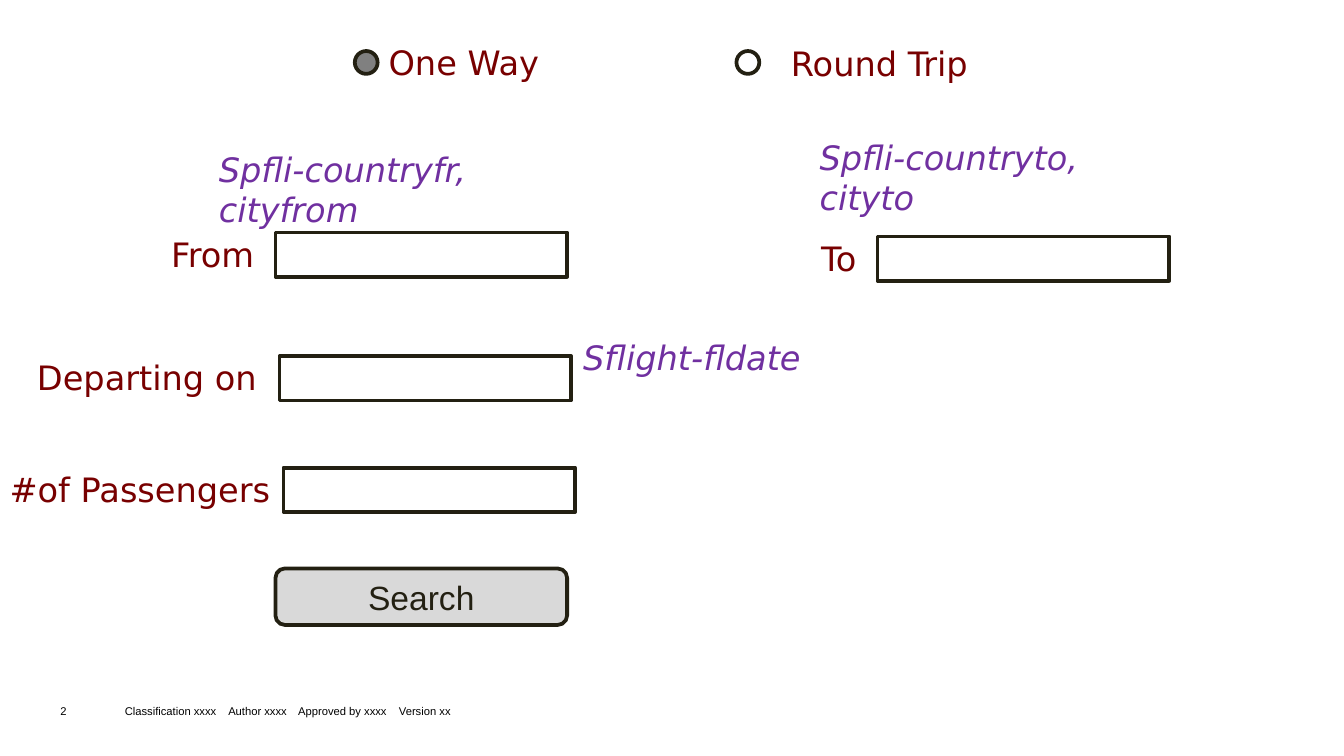
from lxml import etree
from pptx import Presentation
from pptx.dml.color import RGBColor
from pptx.enum.shapes import MSO_SHAPE
from pptx.enum.text import MSO_ANCHOR, PP_ALIGN
from pptx.oxml.ns import qn
from pptx.util import Inches, Pt

RECTANGLE, ROUNDED, OVAL = MSO_SHAPE.RECTANGLE, MSO_SHAPE.ROUNDED_RECTANGLE, MSO_SHAPE.OVAL
LEFT, CENTER, RIGHT = PP_ALIGN.LEFT, PP_ALIGN.CENTER, PP_ALIGN.RIGHT
TOP, MIDDLE = MSO_ANCHOR.TOP, MSO_ANCHOR.MIDDLE

COLORS = {
    "outline": "232012",
    "label": "780000",
    "field_name": "7030A0",
    "selected": "808080",
    "button": "D9D9D9",
    "footer": "000000",
}
SLIDE_WIDTH = 10
FIELD_WIDTH, FIELD_HEIGHT = 2.17, 0.33
RADIO_SIZE = 0.17
LABEL_HEIGHT = 0.4

presentation = Presentation()
presentation.slide_width = Inches(SLIDE_WIDTH)
presentation.slide_height = Inches(SLIDE_WIDTH * 9 / 16)
slide = presentation.slides.add_slide(presentation.slide_layouts[6])


def add_control(kind, left, top, width, height, fill=None):
    """Add an outlined form element, unfilled unless a fill colour is named."""
    shape = slide.shapes.add_shape(
        kind, Inches(left), Inches(top), Inches(width), Inches(height))
    shape.shadow.inherit = False
    shape.line.color.rgb = RGBColor.from_string(COLORS["outline"])
    shape.line.width = Pt(2)
    if fill:
        shape.fill.solid()
        shape.fill.fore_color.rgb = RGBColor.from_string(COLORS[fill])
    else:
        shape.fill.background()
    return shape


def write_text(shape, text, color, align=LEFT, font="DejaVu Sans", size=18,
               italic=False, anchor=TOP):
    frame = shape.text_frame
    frame.word_wrap = True
    frame.vertical_anchor = anchor
    frame.text = text
    paragraph = frame.paragraphs[0]
    paragraph.alignment = align
    run_font = paragraph.runs[0].font
    run_font.name = font
    run_font.size = Pt(size)
    run_font.italic = italic
    run_font.color.rgb = RGBColor.from_string(COLORS[color])
    return paragraph


# Footer, with its parts set on tab stops
footer_parts = ["Classification xxxx", "Author xxxx", "Approved by xxxx", "Version xx"]
footers = [
    (0.83, 4.41, "\t".join(footer_parts), [0.77, 1.29, 2.04]),
    (0.35, 0.55, "2", []),
]
for left, width, text, stops in footers:
    box = slide.shapes.add_textbox(Inches(left), Inches(5.14), Inches(width), Inches(0.3))
    paragraph = write_text(box, text, "footer", font="Arial", size=6, anchor=MIDDLE)
    if stops:
        tab_list = etree.SubElement(paragraph._p.get_or_add_pPr(), qn("a:tabLst"))
        for stop in stops:
            etree.SubElement(tab_list, qn("a:tab"), pos=str(Inches(stop)), algn="l")

# Input fields
for left, top in [(2.05, 1.73), (6.53, 1.76), (2.08, 2.65), (2.11, 3.48)]:
    add_control(RECTANGLE, left, top, FIELD_WIDTH, FIELD_HEIGHT)

# Radio buttons
for left, fill in [(2.64, "selected"), (5.48, None)]:
    add_control(OVAL, left, 0.38, RADIO_SIZE, RADIO_SIZE, fill)

# Labels end at the right edge of their boxes
labels = [
    ("From", 1.08, 1.69, 0.91),
    ("To", 4.97, 1.72, 1.5),
    ("Departing on", 0.17, 2.61, 1.84),
    ("#of Passengers", -0.14, 3.44, 2.25),
    ("One Way", 2.73, 0.26, 1.38),
    ("Round Trip", 5.72, 0.27, 1.58),
]
for text, left, top, width in labels:
    box = slide.shapes.add_textbox(
        Inches(left), Inches(top), Inches(width), Inches(LABEL_HEIGHT))
    write_text(box, text, "label", RIGHT)

search_button = add_control(ROUNDED, 2.05, 4.23, FIELD_WIDTH, 0.42, "button")
write_text(search_button, "Search", "outline", CENTER, font="Arial", anchor=MIDDLE)

# Database field names beside the inputs
field_names = [
    ("Spfli-countryfr, cityfrom", 1.53, 1.06, 0.71),
    ("Spfli-countryto, cityto", 6, 0.97, 0.71),
    ("Sflight-fldate", 4.24, 2.46, LABEL_HEIGHT),
]
for text, left, top, height in field_names:
    box = slide.shapes.add_textbox(Inches(left), Inches(top), Inches(2.22), Inches(height))
    write_text(box, text, "field_name", italic=True)

presentation.save("out.pptx")
